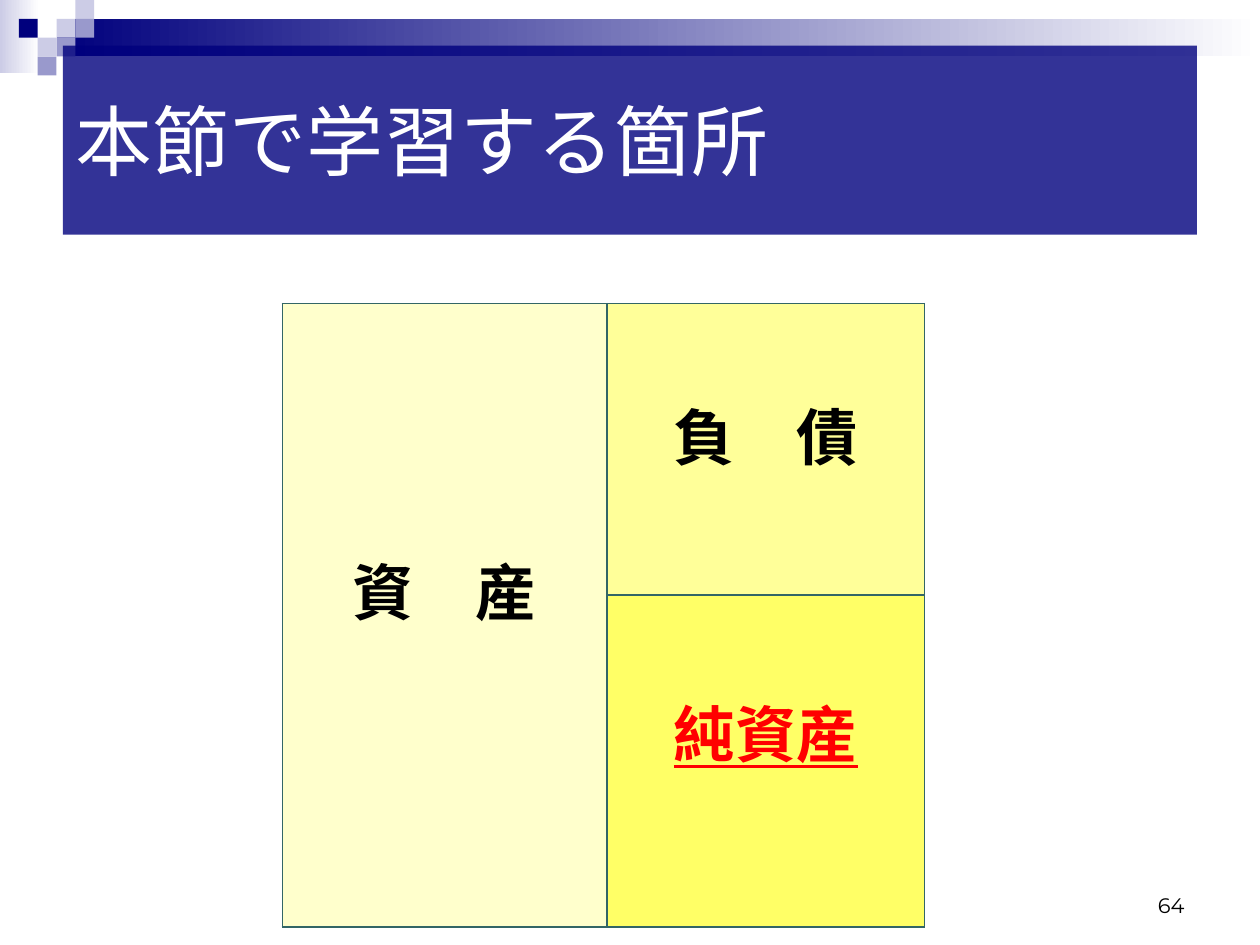
import pptx
import pptx.util
import pptx.dml.color
import pptx.enum.shapes
import pptx.enum.text
import pptx.oxml
import pptx.oxml.ns

Cm = pptx.util.Cm
ALIGN = pptx.enum.text.PP_ALIGN
ANCHOR = pptx.enum.text.MSO_ANCHOR
COLORS = {
    "navy": "00007D", "mid": "9999CC", "pale": "CCCCE6", "white": "FFFFFF",
    "black": "000000", "red": "FF0000", "border": "336666",
    "assets": "FFFFCC", "debts": "FFFF99", "equity": "FFFF66",
}
RGB = {k: pptx.dml.color.RGBColor.from_string(v) for k, v in COLORS.items()}

prs = pptx.Presentation()
prs.slide_width, prs.slide_height = Cm(25.4), Cm(19.05)
s = prs.slides.add_slide(prs.slide_layouts[6])


def add_rect(x, y, w, h, color, fade=False):
    """Add a borderless rectangle, optionally fading to white on the right."""
    sp = s.shapes.add_shape(pptx.enum.shapes.MSO_SHAPE.RECTANGLE, Cm(x), Cm(y), Cm(w), Cm(h))
    sp.shadow.inherit = False
    sp.line.fill.background()
    if fade:
        sp.fill.gradient()
        sp.fill.gradient_angle = 0
        for stop, name, pos in zip(sp.fill.gradient_stops, (color, "white"), (0, 1)):
            stop.color.rgb = RGB[name]
            stop.position = pos
    else:
        sp.fill.solid()
        sp.fill.fore_color.rgb = RGB[color]
    return sp


def write(tf, text, size, color="black", font="Arial", align=ALIGN.LEFT, bold=None, underline=None):
    p = tf.paragraphs[0]
    p.alignment = align
    r = p.add_run()
    r.text = text
    r.font.size = pptx.util.Pt(size)
    r.font.name = font
    r.font.color.rgb = RGB[color]
    r.font.bold = bold
    r.font.underline = underline


# Corner decoration: two fading bars and a mosaic of small squares
add_rect(0, 0, 0.79, 1.47, "pale", fade=True)
add_rect(1.14, 0.38, 24.26, 0.76, "navy", fade=True)
unit = 0.38
for col, row, color in [(3, 1, "pale"), (4, 0, "pale"), (4, 1, "mid"), (2, 2, "pale"),
                        (1, 1, "navy"), (3, 2, "mid"), (2, 3, "mid")]:
    add_rect(col * unit, row * unit, unit, unit, color)

# Page number
sp = s.shapes.add_textbox(Cm(18.2), Cm(17.35), Cm(5.93), Cm(1.27))
tf = sp.text_frame
tf.word_wrap = True
tf.vertical_anchor = ANCHOR.BOTTOM
write(tf, "64", 12, font="Montserrat", align=ALIGN.RIGHT)

# Balance sheet: assets on the left, debts and equity on the right
widths, heights = (3.78, 6.55, 6.4, 4.9), (5.87, 6.7)
table = s.shapes.add_table(2, 4, Cm(1.91), Cm(6.12), Cm(sum(widths)), Cm(sum(heights))).table
table.first_row = table.horz_banding = False
for column, width in zip(table.columns, widths):
    column.width = Cm(width)
for row, height in zip(table.rows, heights):
    row.height = Cm(height)
    for cell, sides in zip(row.cells, ("R", "LRTB", "LRTB", "L")):
        tc_pr = cell._tc.get_or_add_tcPr()
        for side in "LRTB":
            paint = (f'<a:solidFill><a:srgbClr val="{COLORS["border"]}"/></a:solidFill>'
                     if side in sides else "<a:noFill/>")
            tc_pr.append(pptx.oxml.parse_xml(
                f'<a:ln{side} {pptx.oxml.ns.nsdecls("a")} w="12700">{paint}</a:ln{side}>'))
        cell.fill.background()
for col in (0, 1, 3):
    table.cell(0, col).merge(table.cell(1, col))

for row, col, text, fill, color, underline, bottom in [
        (0, 1, "資　産", "assets", "black", None, 1.2),
        (0, 2, "負　債", "debts", "black", None, 0.75),
        (1, 2, "純資産", "equity", "red", True, 1.35)]:
    cell = table.cell(row, col)
    cell.fill.solid()
    cell.fill.fore_color.rgb = RGB[fill]
    cell.vertical_anchor = ANCHOR.MIDDLE
    cell.margin_bottom = Cm(bottom)
    write(cell.text_frame, text, 35, color, align=ALIGN.CENTER, bold=True, underline=underline)

# Title band, slightly transparent
sp = add_rect(1.27, 0.92, 22.86, 3.81, "navy")
rgb = sp.fill._xPr.find(".//" + pptx.oxml.ns.qn("a:srgbClr"))
rgb.append(pptx.oxml.parse_xml(f'<a:alpha {pptx.oxml.ns.nsdecls("a")} val="80000"/>'))
sp.text_frame.word_wrap = True
sp.text_frame.vertical_anchor = ANCHOR.MIDDLE
write(sp.text_frame, "本節で学習する箇所", 44, "white")

prs.save("out.pptx")
